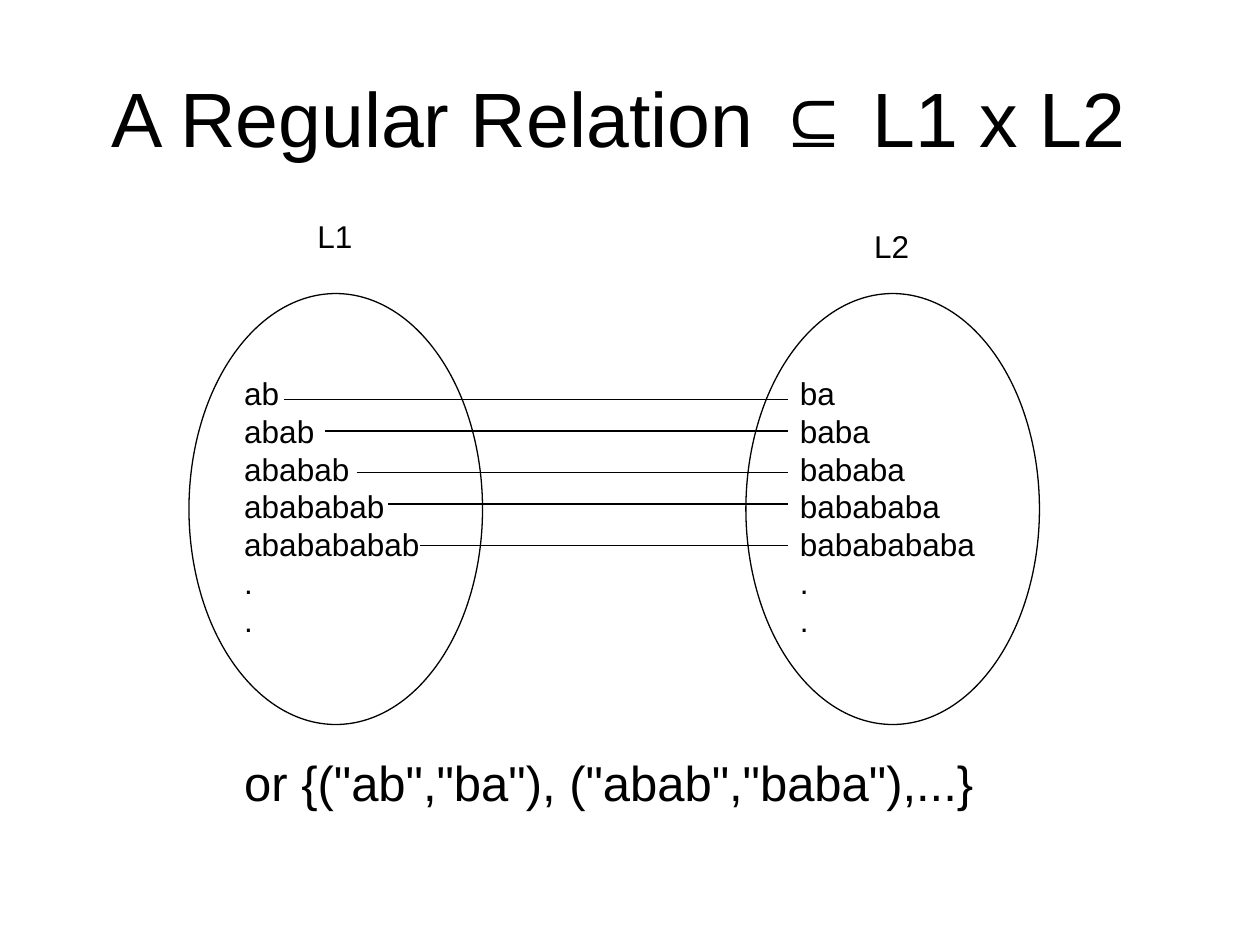
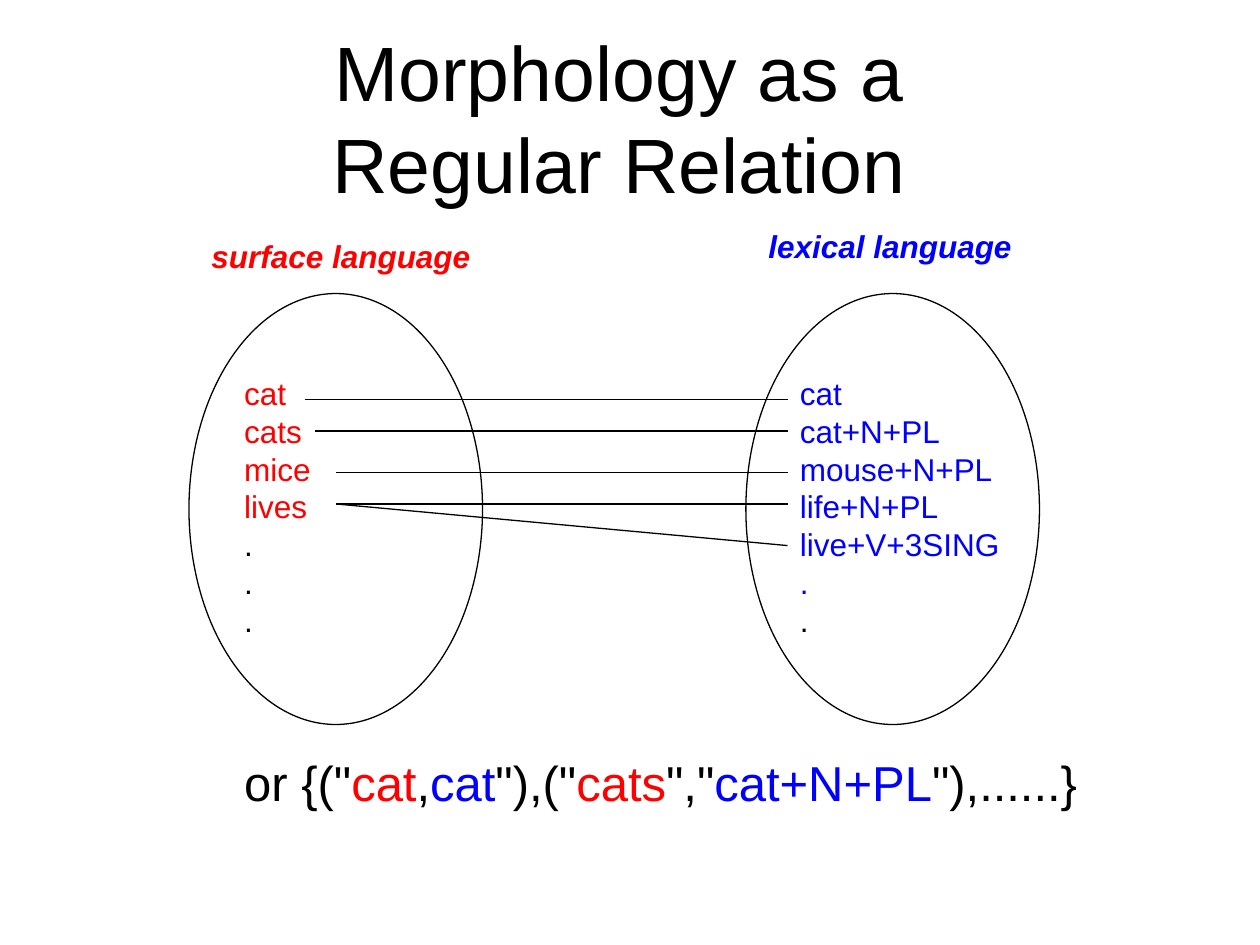
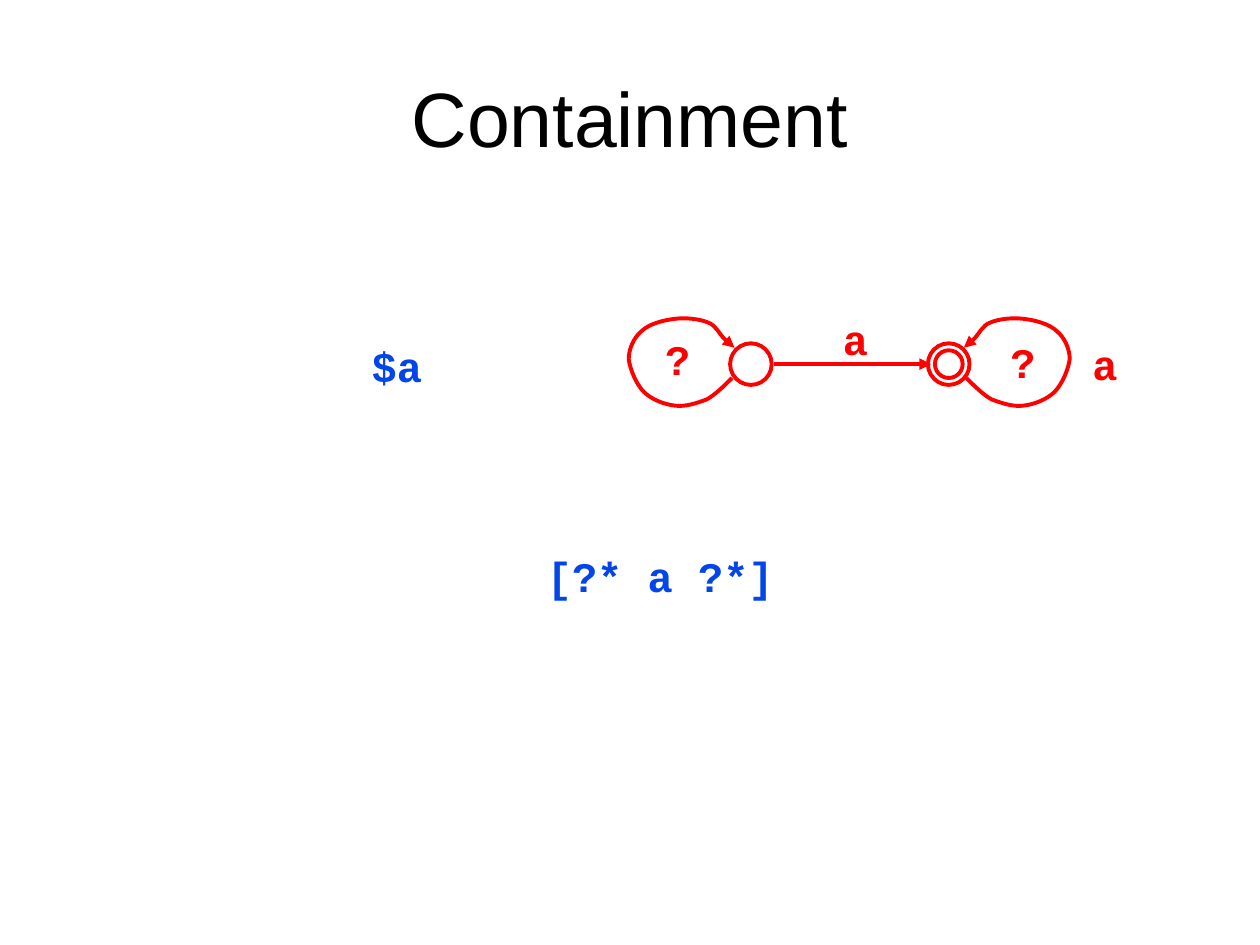
from dataclasses import dataclass

from lxml import etree
from pptx import Presentation
from pptx.dml.color import RGBColor
from pptx.enum.shapes import MSO_CONNECTOR, MSO_SHAPE
from pptx.enum.text import MSO_ANCHOR, MSO_AUTO_SIZE, PP_ALIGN
from pptx.oxml.ns import qn
from pptx.slide import Slide
from pptx.util import Inches, Pt

BLACK = RGBColor(0x00, 0x00, 0x00)
RED = RGBColor(0xFF, 0x00, 0x00)
BLUE = RGBColor(0x00, 0x00, 0xFF)
CODE_BLUE = RGBColor(0x03, 0x45, 0xE9)

BODY_FONT = "Arial"
CODE_FONT = "Courier New"

THIN = 0.75
THICK = 2.25

PAIR_ROWS = [3.17, 3.42, 3.75, 4.0, 4.33]
PAIR_END = 6.25
STATE_Y = 2.89
STATE_SIZE = 0.33
MIRROR_SUM = 13.48

# Start point, then two control points and an end point for each curve.
RIGHT_LOOP = [
    (7.67, 3.0),
    (7.73, 3.06), (7.8, 3.13), (7.87, 3.17),
    (7.95, 3.2), (8.04, 3.23), (8.12, 3.22),
    (8.21, 3.21), (8.31, 3.17), (8.37, 3.11),
    (8.43, 3.05), (8.48, 2.93), (8.49, 2.85),
    (8.49, 2.77), (8.45, 2.68), (8.39, 2.63),
    (8.33, 2.57), (8.21, 2.54), (8.12, 2.53),
    (8.04, 2.52), (7.93, 2.53), (7.86, 2.56),
    (7.8, 2.58), (7.77, 2.65), (7.74, 2.68),
    (7.7, 2.72), (7.67, 2.75), (7.65, 2.76),
]
LEFT_LOOP = [(MIRROR_SUM - x, y) for x, y in RIGHT_LOOP]


@dataclass(frozen=True)
class Box:
    left: float
    top: float
    width: float
    height: float

    def lengths(self) -> list[int]:
        return [Inches(v) for v in (self.left, self.top, self.width, self.height)]


@dataclass(frozen=True)
class Piece:
    text: str
    color: RGBColor = BLACK


@dataclass(frozen=True)
class Style:
    size: int
    font: str = BODY_FONT
    bold: bool = False
    italic: bool = False
    centered: bool = False
    wrap: bool = False


TITLE = Style(44, centered=True, wrap=True)
WORDS = Style(18)
LANGUAGE_NAME = Style(18, bold=True, italic=True)
SET_NOTATION = Style(28)
CODE = Style(24, font=CODE_FONT, bold=True, centered=True)


@dataclass(frozen=True)
class Language:
    heading: Piece
    heading_box: Box
    words: list[Piece]
    oval: Box
    words_box: Box


@dataclass(frozen=True)
class Pair:
    start: float
    from_row: int
    to_row: int


def add_text(slide: Slide, box: Box, lines: list[list[Piece]], style: Style) -> None:
    """Write each inner list as one paragraph."""
    frame = slide.shapes.add_textbox(*box.lengths()).text_frame
    frame.word_wrap = style.wrap
    frame.auto_size = MSO_AUTO_SIZE.NONE if style.wrap else MSO_AUTO_SIZE.SHAPE_TO_FIT_TEXT
    if style.centered:
        frame.vertical_anchor = MSO_ANCHOR.MIDDLE
    for index, pieces in enumerate(lines):
        paragraph = frame.add_paragraph() if index else frame.paragraphs[0]
        if style.centered:
            paragraph.alignment = PP_ALIGN.CENTER
        font = paragraph.font
        font.name, font.size = style.font, Pt(style.size)
        font.bold, font.italic = style.bold, style.italic
        if len(pieces) == 1:
            paragraph.text = pieces[0].text
            font.color.rgb = pieces[0].color
            continue
        for piece in pieces:
            run = paragraph.add_run()
            run.text = piece.text
            run.font.color.rgb = piece.color


def add_title(slide: Slide, text: str) -> None:
    add_text(slide, Box(0.5, 0.3, 9, 1.25), [[Piece(text)]], TITLE)


def add_code(slide: Slide, box: Box, text: str, color: RGBColor) -> None:
    add_text(slide, box, [[Piece(text, color)]], CODE)


def set_line(shape, color: RGBColor, width: float, arrow: bool = False) -> None:
    shape.line.color.rgb = color
    shape.line.width = Pt(width)
    if arrow:
        line = shape.line._get_or_add_ln()
        etree.SubElement(line, qn("a:tailEnd"), type="triangle")


def add_oval(slide: Slide, box: Box, color: RGBColor, width: float) -> None:
    oval = slide.shapes.add_shape(MSO_SHAPE.OVAL, *box.lengths())
    oval.shadow.inherit = False
    oval.fill.background()
    set_line(oval, color, width)


def add_state(slide: Slide, center: float, size: float = STATE_SIZE) -> None:
    half = size / 2
    add_oval(slide, Box(center - half, STATE_Y - half, size, size), RED, THICK)


def add_line(slide: Slide, start: tuple[float, float], end: tuple[float, float],
             color: RGBColor, width: float, arrow: bool = False) -> None:
    ends = [Inches(v) for v in (*start, *end)]
    line = slide.shapes.add_connector(MSO_CONNECTOR.STRAIGHT, *ends)
    set_line(line, color, width, arrow)
    etree.SubElement(line._element.spPr, qn("a:effectLst"))


def add_loop(slide: Slide, points: list[tuple[float, float]]) -> None:
    """Draw an open curve, turning every three points into one Bezier segment."""
    (start_x, start_y), *rest = [(Inches(x), Inches(y)) for x, y in points]
    builder = slide.shapes.build_freeform(start_x, start_y)
    builder.add_line_segments(rest, close=False)
    loop = builder.convert_to_shape()
    outline = loop._element.find(".//" + qn("a:path"))
    segments = outline.findall(qn("a:lnTo"))
    for first in range(0, len(segments), 3):
        curve = etree.SubElement(outline, qn("a:cubicBezTo"))
        for segment in segments[first:first + 3]:
            curve.append(segment[0])
            outline.remove(segment)
    loop.shadow.inherit = False
    loop.fill.background()
    set_line(loop, RED, THICK, arrow=True)


def words_in(color: RGBColor, *words: str) -> list[Piece]:
    return [Piece(word, color) for word in words]


def left_language(heading: Piece, heading_box: Box, words: list[Piece]) -> Language:
    return Language(heading, heading_box, words,
                    Box(1.5, 2.33, 2.33, 3.42), Box(1.84, 2.92, 1.7, 2.2))


def right_language(heading: Piece, heading_box: Box, words: list[Piece]) -> Language:
    return Language(heading, heading_box, words,
                    Box(5.92, 2.33, 2.33, 3.42), Box(6.25, 2.92, 1.9, 2.2))


def add_relation(slide: Slide, title: str, languages: list[Language], heading_style: Style,
                 pairs: list[Pair], notation: list[Piece]) -> None:
    add_title(slide, title)
    for language in languages:
        add_oval(slide, language.oval, BLACK, THIN)
        add_text(slide, language.words_box, [[word] for word in language.words], WORDS)
        add_text(slide, language.heading_box, [[language.heading]], heading_style)
    for pair in pairs:
        add_line(slide, (pair.start, PAIR_ROWS[pair.from_row]),
                 (PAIR_END, PAIR_ROWS[pair.to_row]), BLACK, THIN)
    add_text(slide, Box(1.84, 5.92, 7, 0.57), [notation], SET_NOTATION)


def add_regular_relation(slide: Slide) -> None:
    counts = range(1, 6)
    languages = [
        left_language(Piece("L1"), Box(2.42, 1.67, 0.5, 0.4),
                      words_in(BLACK, *("ab" * n for n in counts), ".", ".")),
        right_language(Piece("L2"), Box(6.84, 1.75, 0.5, 0.4),
                       words_in(BLACK, *("ba" * n for n in counts), ".", ".")),
    ]
    starts = [2.25, 2.58, 2.83, 3.08, 3.33]
    pairs = [Pair(start, row, row) for row, start in enumerate(starts)]
    add_relation(slide, "A Regular Relation ⊆ L1 x L2 ", languages, WORDS, pairs,
                 [Piece('or {("ab","ba"), ("abab","baba"),...}')])


def add_morphology(slide: Slide) -> None:
    languages = [
        left_language(Piece("surface language", RED), Box(1.58, 1.83, 2.4, 0.4),
                      words_in(RED, "cat", "cats", "mice", "lives")
                      + words_in(BLACK, ".", ".", ".")),
        right_language(Piece("lexical language", BLUE), Box(6, 1.75, 2.3, 0.4),
                       words_in(BLUE, "cat", "cat+N+PL", "mouse+N+PL", "life+N+PL",
                                "live+V+3SING", ".")
                       + words_in(BLACK, ".")),
    ]
    pairs = [Pair(2.42, 0, 0), Pair(2.5, 1, 1), Pair(2.67, 2, 2),
             Pair(2.67, 3, 3), Pair(2.67, 3, 4)]
    notation = [
        Piece('or {("'), Piece("cat", RED), Piece(","), Piece("cat", BLUE),
        Piece('"),("'), Piece("cats", RED), Piece('","'), Piece("cat+N+PL", BLUE),
        Piece('"),......}'),
    ]
    add_relation(slide, "Morphology as a \nRegular Relation ", languages, LANGUAGE_NAME,
                 pairs, notation)


def add_containment(slide: Slide) -> None:
    start_state, final_state = 5.96, 7.53
    add_title(slide, "Containment")
    add_line(slide, (6.14, STATE_Y), (7.39, STATE_Y), RED, THICK, arrow=True)
    add_state(slide, start_state)
    add_state(slide, final_state)
    add_state(slide, final_state, 0.22)
    for loop in (LEFT_LOOP, RIGHT_LOOP):
        add_loop(slide, loop)
    for symbol, left, top in [("a", 6.59, 2.44), ("?", 5.18, 2.6),
                              ("?", 7.92, 2.62), ("a", 8.57, 2.64)]:
        add_code(slide, Box(left, top, 0.4, 0.5), symbol, RED)
    add_code(slide, Box(2.85, 2.65, 0.6, 0.5), "$a", CODE_BLUE)
    add_code(slide, Box(4.24, 4.32, 2, 0.5), "[?* a ?*]", CODE_BLUE)


def main() -> None:
    deck = Presentation()
    deck.slide_width, deck.slide_height = Inches(10), Inches(7.5)
    blank = deck.slide_layouts[6]
    for fill_slide in (add_regular_relation, add_morphology, add_containment):
        fill_slide(deck.slides.add_slide(blank))
    deck.save("out.pptx")


if __name__ == "__main__":
    main()
